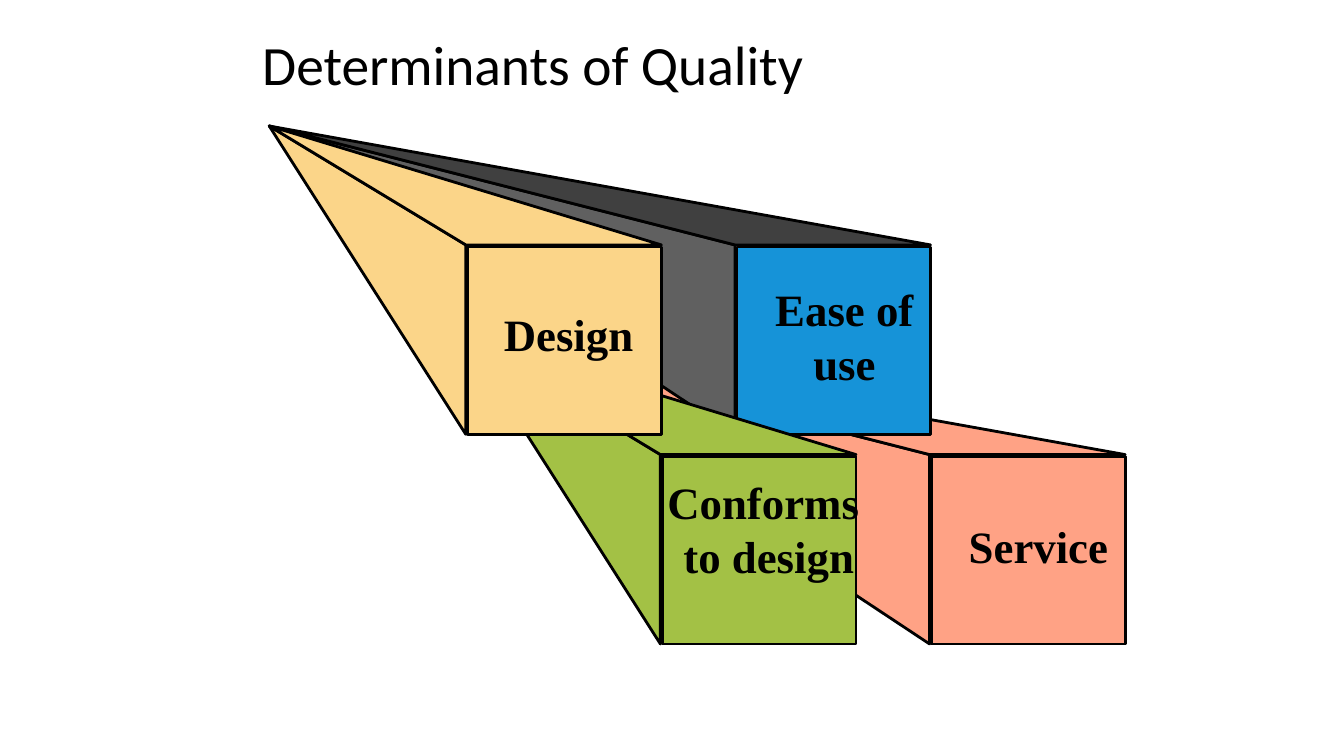
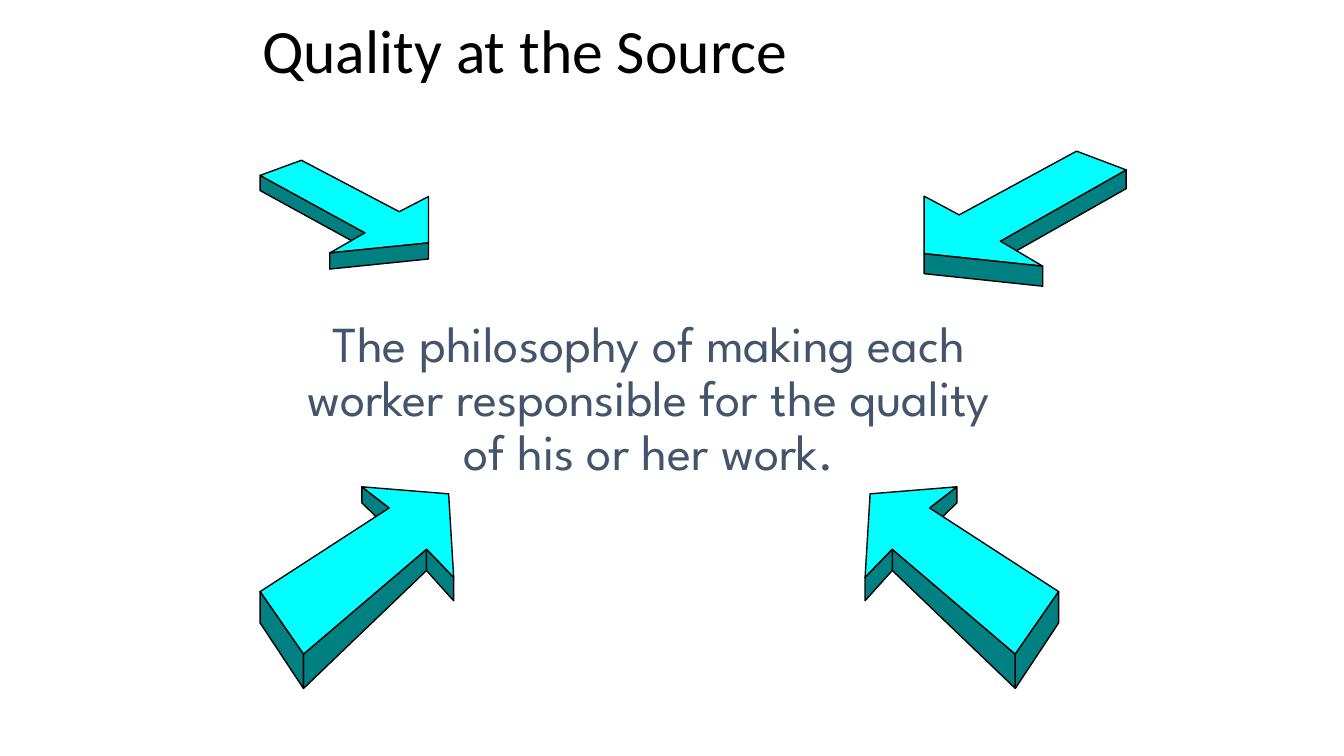
from pptx import Presentation
from pptx.dml.color import RGBColor
from pptx.enum.shapes import MSO_SHAPE
from pptx.enum.text import MSO_ANCHOR, MSO_AUTO_SIZE, PP_ALIGN
from pptx.util import Inches, Pt
from lxml.etree import SubElement
from pptx.oxml.ns import qn

BLACK, CYAN, TEAL, SLATE = "000000", "00FFFF", "008080", "44546A"
TITLE_FONT = dict(name="Calibri", color=BLACK)
LABEL_FONT = dict(name="Times New Roman", size=32, bold=True, color=BLACK)
BODY_FONT = dict(name="League Spartan", size=36, color=SLATE)

UPPER_APEX, LOWER_APEX = (2.67, 1.25), (4.6, 3.33)
NEAR, FAR = 1.95, 4.62
FACE_WIDTH, FACE_HEIGHT, RISE, FACE_GAP = 1.92, 1.86, 1.18, 0.02
BEAMS = [
    dict(apex=LOWER_APEX, reach=FAR, face="FFA285", side="FFA285", top="FFA285",
         lines=["Service"], box=(9.5, 5.1, 1.6, 0.64), wrap=False),
    dict(apex=UPPER_APEX, reach=FAR, face="1693D8", side="606060", top="404040",
         lines=["Ease of", "use"], box=(7.58, 2.75, 1.59, 1.18), wrap=False),
    dict(apex=LOWER_APEX, reach=NEAR, face="A3C145", side="A3C145", top="A3C145",
         lines=["Conforms\v to design"], box=(6.21, 4.66, 2.72, 1.18), wrap=True),
    dict(apex=UPPER_APEX, reach=NEAR, face="FBD589", side="FBD589", top="FBD589",
         lines=["Design"], box=(4.89, 2.99, 1.5, 0.64), wrap=False),
]

PHILOSOPHY = ("The philosophy of making each worker responsible "
              "for the quality of his or her work.")
UPPER_ARROW = dict(
    outline=[(2.58, 1.74), (2.99, 1.59), (3.96, 2.1), (4.25, 1.95),
             (4.25, 2.41), (3.27, 2.51), (3.62, 2.31)],
    depths={0: 0.15, 6: 0.15, 4: 0.16, 5: 0.16},
    back=[(0, 6)], front=[(5, 4)])
LOWER_ARROW = dict(
    outline=[(2.58, 5.87), (3.86, 5.04), (3.59, 4.83), (4.45, 4.9),
             (4.5, 5.73), (4.23, 5.45), (3.01, 6.49)],
    depths={0: 0.31, 1: 0.21, 2: 0.16, 4: 0.23, 5: 0.21, 6: 0.34},
    back=[(6, 5), (1, 2)], front=[(0, 6), (5, 4)])


def color(hex_text):
    """Turn a hex string into a colour."""
    return RGBColor.from_string(hex_text)


def format_font(font, values):
    """Apply a dict of format values to a font."""
    for name, value in values.items():
        if name == "color":
            font.color.rgb = color(value)
        else:
            setattr(font, name, Pt(value) if name == "size" else value)


def place(shape, box):
    """Move and size a shape in inches."""
    for name, value in zip(("left", "top", "width", "height"), box):
        setattr(shape, name, Inches(value))


def paint(shape, fill, line_width):
    """Fill and outline a shape without a shadow."""
    shape.shadow.inherit = False
    shape.fill.solid()
    shape.fill.fore_color.rgb = color(fill)
    shape.line.color.rgb = color(BLACK)
    shape.line.width = Pt(line_width)


def add_polygon(shapes, points, fill, line_width):
    """Draw a closed polygon through points in inches."""
    start, *others = [(Inches(x), Inches(y)) for x, y in points]
    builder = shapes.build_freeform(*start, scale=1.0)
    builder.add_line_segments(others, close=True)
    paint(builder.convert_to_shape(), fill, line_width)


def fill_placeholder(shape, text, box, font, alignment, anchor):
    """Write one formatted paragraph in a placeholder."""
    place(shape, box)
    frame = shape.text_frame
    frame.text = text
    frame.auto_size = MSO_AUTO_SIZE.NONE
    frame.vertical_anchor = anchor
    paragraph = frame.paragraphs[0]
    settings = dict(alignment=alignment, line_spacing=0.9, space_before=Pt(0))
    for name, value in settings.items():
        setattr(paragraph, name, value)
    format_font(paragraph.runs[0].font, font)
    return paragraph


def add_titled_slide(presentation, layout, title, box, size, anchor):
    """Add a slide with the shared title style."""
    slide = presentation.slides.add_slide(presentation.slide_layouts[layout])
    fill_placeholder(slide.shapes.title, title, box,
                     dict(TITLE_FONT, size=size), PP_ALIGN.LEFT, anchor)
    return slide


def add_beam(slide, beam):
    """Draw a labelled block receding to its apex."""
    shapes = slide.shapes.add_group_shape().shapes
    apex = x, y = beam["apex"]
    left, top = x + beam["reach"], y + RISE
    face = shapes.add_shape(MSO_SHAPE.RECTANGLE, Inches(left + FACE_GAP), Inches(top + FACE_GAP),
                            Inches(FACE_WIDTH), Inches(FACE_HEIGHT))
    paint(face, beam["face"], 2)
    corner = (left, top)
    add_polygon(shapes, [(left, top + FACE_HEIGHT + FACE_GAP), apex, corner], beam["side"], 2)
    add_polygon(shapes, [(left + FACE_WIDTH + FACE_GAP, top), corner, apex], beam["top"], 2)
    label = shapes.add_textbox(*map(Inches, beam["box"]))
    frame = label.text_frame
    frame.text = "\n".join(beam["lines"])
    frame.word_wrap = beam["wrap"]
    frame.auto_size = MSO_AUTO_SIZE.SHAPE_TO_FIT_TEXT
    for paragraph in frame.paragraphs:
        paragraph.alignment = PP_ALIGN.CENTER
        for run in paragraph.runs:
            format_font(run.font, LABEL_FONT)


def add_arrow(slide, arrow, transform):
    """Draw a solid arrow, its walls dropped from outline edges."""
    shapes = slide.shapes.add_group_shape().shapes
    outline, depths = arrow["outline"], arrow["depths"]

    def wall(start, end):
        """Return the wall below one edge."""
        lowered = [(outline[i][0], outline[i][1] + depths[i]) for i in (end, start)]
        return [outline[start], outline[end], *lowered]

    facets = [(wall(*edge), TEAL) for edge in arrow["back"]]
    facets.append((outline, CYAN))
    facets += [(wall(*edge), TEAL) for edge in arrow["front"]]
    for points, fill in facets:
        add_polygon(shapes, [transform(x, y) for x, y in points], fill, 1)


def build_determinants(presentation):
    """Build the slide of four quality determinants."""
    slide = add_titled_slide(presentation, 5, "Determinants of Quality",
                             (2.5, 0.3, 8.5, 0.72), 39.6, MSO_ANCHOR.BOTTOM)
    for beam in BEAMS:
        add_beam(slide, beam)


def build_source(presentation):
    """Build the slide of arrows around the philosophy."""
    slide = add_titled_slide(presentation, 1, "Quality at the Source",
                             (2.5, 0.15, 8.5, 0.77), 44, MSO_ANCHOR.MIDDLE)
    paragraph = fill_placeholder(slide.placeholders[1], PHILOSOPHY, (2.83, 3.11, 7.21, 2.16),
                                 BODY_FONT, PP_ALIGN.CENTER, MSO_ANCHOR.TOP)
    properties = paragraph._p.get_or_add_pPr()
    properties.set("marL", "0")
    properties.set("indent", "0")
    SubElement(properties, qn("a:buNone"))
    arrows = [
        (UPPER_ARROW, lambda x, y: (x, y)),
        (UPPER_ARROW, lambda x, y: (11.17 - (x - 2.58) * 1.2, 1.5 + (y - 1.59) * 1.24)),
        (LOWER_ARROW, lambda x, y: (x, y)),
        (LOWER_ARROW, lambda x, y: (13.08 - x, y)),
    ]
    for arrow, transform in arrows:
        add_arrow(slide, arrow, transform)


def main():
    """Build and save the presentation."""
    presentation = Presentation()
    presentation.slide_width, presentation.slide_height = Inches(13.33), Inches(7.5)
    build_determinants(presentation)
    build_source(presentation)
    presentation.save("out.pptx")


if __name__ == "__main__":
    main()
